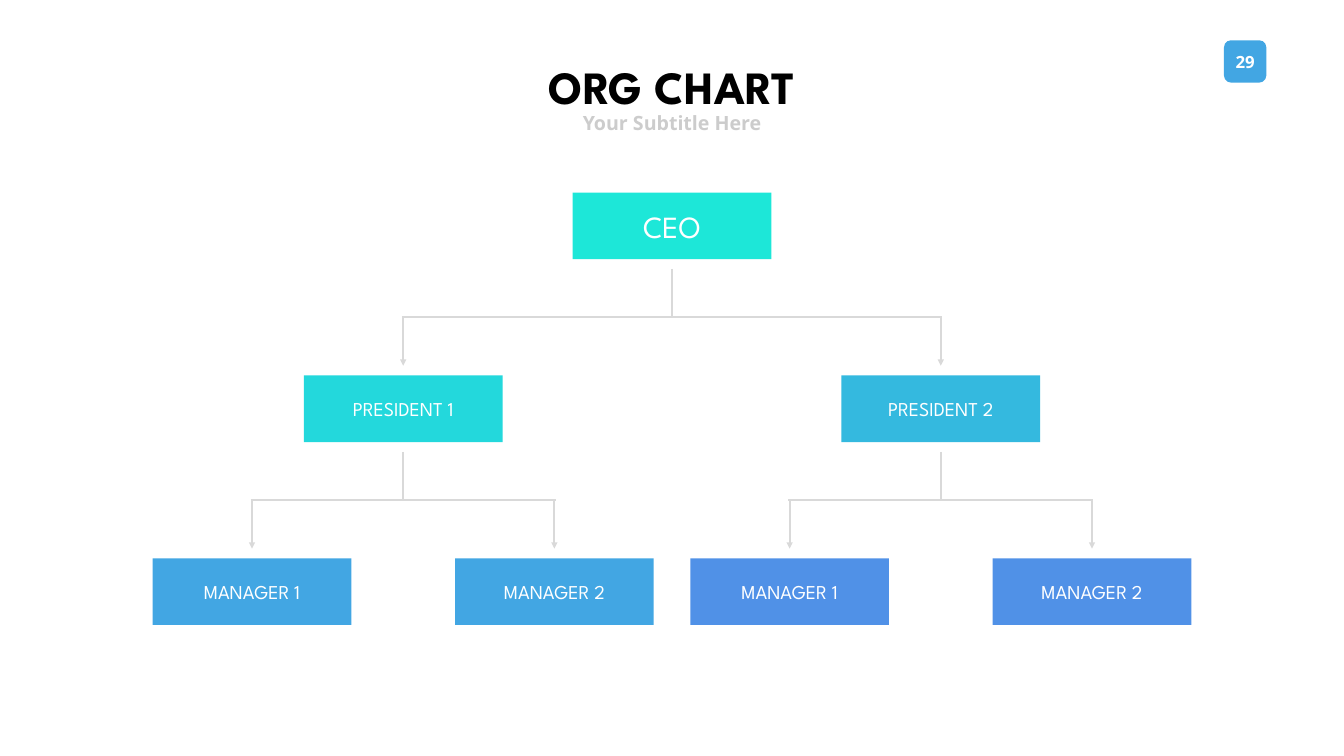
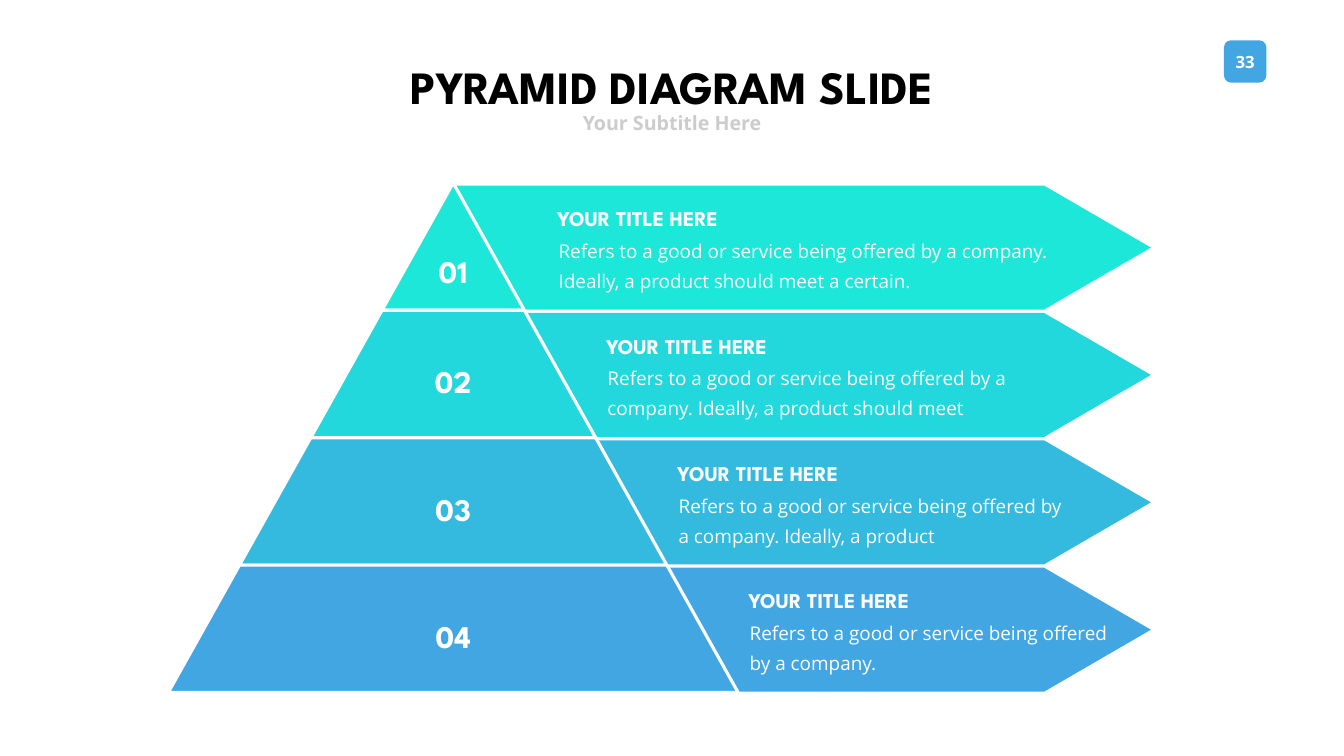
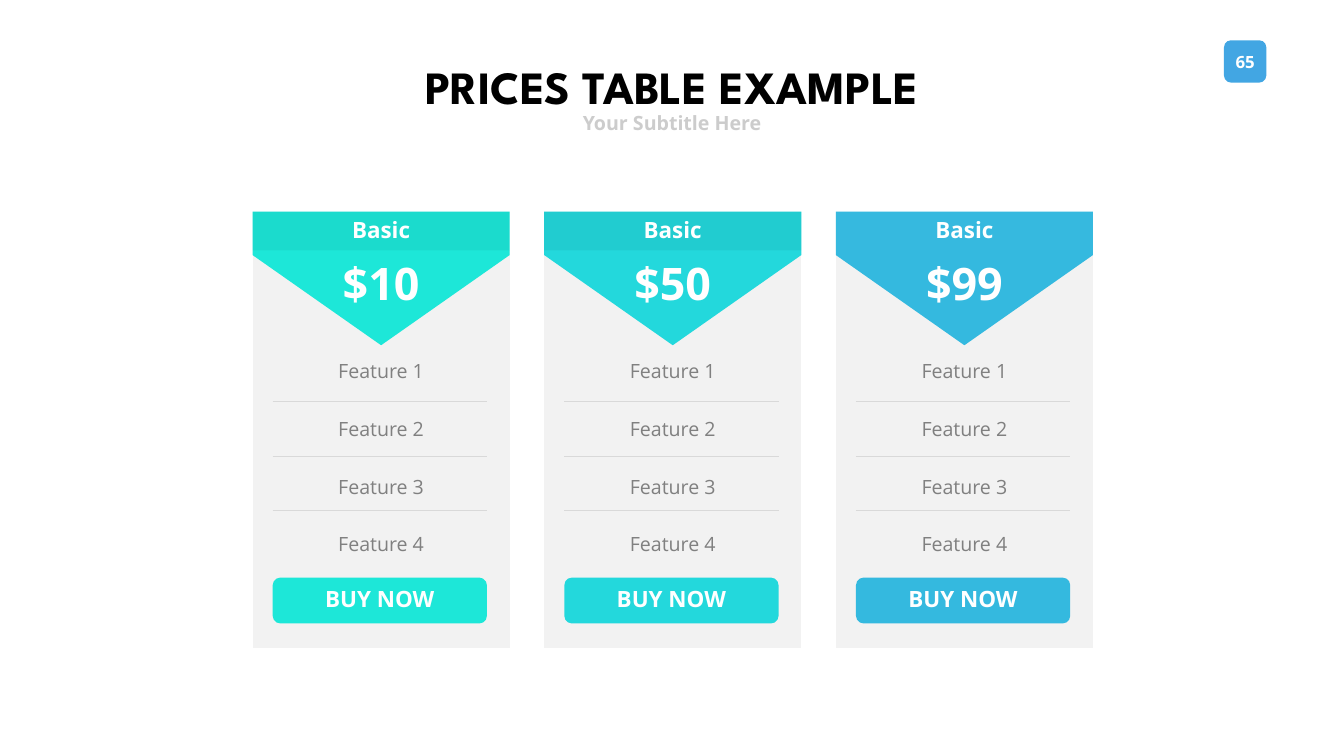
from dataclasses import dataclass

from pptx import Presentation
from pptx import util as u
from pptx.dml.color import RGBColor
from pptx.enum import shapes, text
from pptx.oxml import ns, xmlchemy

# Shared grid: 100 columns by 100 rows over the slide
WIDTH, HEIGHT = u.Inches(26.66), u.Inches(15)
COLUMN, ROW = WIDTH / 100, HEIGHT / 100

COLOURS = {
    "white": "FFFFFF", "black": "000000", "subtitle": "CCCCCC",
    "rule": "D9D9D9", "card": "F2F2F2", "feature": "808080",
    "mint": "1DE7D8", "aqua": "23D8DC", "sky": "34B9DF",
    "azure": "42A6E3", "blue": "5091E7",
    "mint band": "0C766E", "aqua band": "116C6E", "sky band": "48C0E2",
}
HEADING, BODY = "League Spartan", "Open Sans"
SHAPE, ALIGN, ANCHOR = shapes.MSO_SHAPE, text.PP_ALIGN, text.MSO_ANCHOR


@dataclass
class Box:
    """An area in columns and rows."""
    left: float
    top: float
    width: float
    height: float

    def at(self, left, top, width, height):
        return Box(self.left + left, self.top + top, width, height)

    def centred(self, top, width, height):
        return self.at((self.width - width) / 2, top, width, height)

    def emu(self):
        return (u.Emu(round(self.left * COLUMN)), u.Emu(round(self.top * ROW)),
                u.Emu(round(self.width * COLUMN)), u.Emu(round(self.height * ROW)))


def colour(name):
    return RGBColor.from_string(COLOURS[name])


# Basic parts
def add_block(page, kind, box, fill, turned=False, alpha=None):
    left, top, width, height = box.emu()
    if turned:  # a quarter turn that still fills the box
        shift = (width - height) // 2
        left, top, width, height = left + shift, top - shift, height, width
    block = page.shapes.add_shape(kind, left, top, width, height)
    block.rotation = 90 if turned else 0
    return paint(block, fill, alpha)


def paint(block, fill, alpha=None):
    block.shadow.inherit = False
    block.fill.solid()
    block.fill.fore_color.rgb = colour(fill)
    block.line.fill.background()
    if alpha is not None:
        tint = block.element.spPr.find(".//" + ns.qn("a:srgbClr"))
        opacity = xmlchemy.OxmlElement("a:alpha")
        opacity.set("val", str(alpha * 1000))
        tint.append(opacity)
    return block


def write(frame, words, size, shade="white", font=BODY, bold=False,
          align=ALIGN.CENTER, spacing=None):
    para = frame.paragraphs[0]
    para.text = words
    para.alignment = align
    if spacing:
        para.line_spacing = spacing
    para.font.size = u.Pt(size)
    para.font.name = font
    para.font.bold = bold
    para.font.color.rgb = colour(shade)


def add_label(page, box, words, size, anchor=ANCHOR.TOP, wrap=False, **style):
    frame = page.shapes.add_textbox(*box.emu()).text_frame
    frame.word_wrap = wrap
    frame.auto_size = text.MSO_AUTO_SIZE.SHAPE_TO_FIT_TEXT
    frame.vertical_anchor = anchor
    write(frame, words, size, **style)
    return frame


def add_rule(page, start, end, weight, arrow=False):
    points = [round(length * unit) for point in (start, end)
              for length, unit in zip(point, (COLUMN, ROW))]
    rule = page.shapes.add_connector(shapes.MSO_CONNECTOR.STRAIGHT, *points)
    rule.line.color.rgb = colour("rule")
    rule.line.width = u.Pt(weight)
    properties = rule.element.spPr
    if arrow:
        tip = xmlchemy.OxmlElement("a:tailEnd")
        tip.set("type", "triangle")
        properties.find(ns.qn("a:ln")).append(tip)
    properties.append(xmlchemy.OxmlElement("a:effectLst"))


# Page header: numbered badge, title and subtitle
def add_page(deck, number, title, title_width):
    page = deck.slides.add_slide(deck.slide_layouts[6])
    area = Box(0, 0, 100, 100)
    badge = area.at(91.07, 5.33, 3.15, 5.6)
    add_block(page, SHAPE.ROUNDED_RECTANGLE, badge, "azure")
    add_label(page, badge.at(0, 1.07, 3.15, 3.67), number, 24,
              ANCHOR.MIDDLE, bold=True)
    add_label(page, area.centred(5.4, title_width, 10), title, 66,
              shade="black", font=HEADING, bold=True, spacing=u.Pt(100))
    add_label(page, area.centred(14.33, 14.18, 3.8), "Your Subtitle Here", 28,
              ANCHOR.MIDDLE, shade="subtitle", bold=True)
    return page


# Org chart: each node draws the branch below it
STAFF = ("CEO", "mint", [
    ("PRESIDENT 1", "aqua", [("MANAGER 1", "azure", []), ("MANAGER 2", "azure", [])]),
    ("PRESIDENT 2", "sky", [("MANAGER 1", "blue", []), ("MANAGER 2", "blue", [])]),
])
SPREADS = [20, 11.25]  # columns from a parent to each child, by level
LEVEL_STEP, NODE_GAP, STEM = 24.2, 1.3, 6.33


def draw_node(page, box, person, level=0):
    name, fill, team = person
    node = add_block(page, SHAPE.ROUNDED_RECTANGLE, box, fill)
    node.adjustments[0] = 0
    frame = node.text_frame
    frame.margin_left = frame.margin_right = frame.margin_top = frame.margin_bottom = 0
    frame.vertical_anchor = ANCHOR.MIDDLE
    write(frame, name, 28 if level else 44, font=HEADING)
    if not team:
        return

    middle = box.left + box.width / 2
    stem_top = box.top + box.height + NODE_GAP
    bus = stem_top + STEM
    spread = SPREADS[level]
    add_rule(page, (middle, stem_top), (middle, bus), 3)
    add_rule(page, (middle - spread - 0.1, bus), (middle + spread + 0.1, bus), 3)
    for member, shift in zip(team, (-spread, spread)):
        child = box.at(shift, LEVEL_STEP, box.width, box.height)
        add_rule(page, (middle + shift, bus + 0.2),
                 (middle + shift, child.top - NODE_GAP), 3, arrow=True)
        draw_node(page, child, member, level + 1)


# Pyramid: fill, left and width of the description, wording
LAYERS = [
    ("mint", 40.66, 40.06, "Refers to a good or service being offered by a company. "
     "Ideally, a product should meet a certain."),
    ("aqua", 44.3, 37.58, "Refers to a good or service being offered by a company. "
     "Ideally, a product should meet"),
    ("sky", 49.59, 31.1, "Refers to a good or service being offered by a company. "
     "Ideally, a product"),
    ("azure", 54.88, 29.63, "Refers to a good or service being offered by a company."),
]


def draw_arrow_bar(page, box, fill):
    tip = 7.95
    add_block(page, SHAPE.RECTANGLE, box.at(0, 0, box.width - tip, box.height), fill)
    add_block(page, SHAPE.ISOSCELES_TRIANGLE,
              box.at(box.width - tip, 0, tip, box.height), fill, turned=True)


def draw_layer(page, box, index, fill):
    middle = box.left + box.width / 2
    slope = box.width / 2 / (index + 1)
    bottom = box.top + box.height
    corners = [(middle - slope * (index + 1), bottom), (middle - slope * index, box.top),
               (middle + slope * index, box.top), (middle + slope * (index + 1), bottom)]
    points = [(round(x * COLUMN), round(y * ROW)) for x, y in corners]
    outline = page.shapes.build_freeform(*points[0])
    outline.add_line_segments(points[1:], close=True)
    layer = paint(outline.convert_to_shape(), fill)
    layer.line.color.rgb = colour("white")
    layer.line.width = u.Pt(4.5)
    drop = 8.73 if index == 0 else 6.5  # the tip is narrow, so its number sits lower
    add_label(page, box.centred(drop, 4.2, 5.73), f"{index + 1:02}", 45,
              ANCHOR.MIDDLE, font=HEADING, bold=True)


def draw_pyramid(page, box):
    step = box.height / len(LAYERS)
    slope = 5.3
    apex = 21.2
    for index, (fill, *_) in enumerate(LAYERS):
        draw_arrow_bar(page, box.at(apex - 0.11, index * step + 0.35,
                                    box.width - apex + 0.11, 16.4), fill)
    for index, (fill, left, width, words) in enumerate(LAYERS):
        half = slope * (index + 1)
        layer = box.at(apex - half, index * step, half * 2, step)
        draw_layer(page, layer, index, fill)
        add_label(page, Box(left + 0.45, layer.top + 2.65, 14.82, 4.07),
                  "YOUR TITLE HERE", 30, ANCHOR.MIDDLE, font=HEADING,
                  bold=True, align=ALIGN.LEFT)
        frame = add_label(page, Box(left, layer.top + 5.7, width, 9.67), words, 27,
                          wrap=True, align=ALIGN.LEFT, spacing=u.Pt(43))
        frame.margin_left = frame.margin_right = u.Inches(0.24)
        frame.margin_top = frame.margin_bottom = u.Inches(0.12)


# Price card: banner, features and button
def draw_price_card(page, box, price, fill):
    add_block(page, SHAPE.FLOWCHART_PROCESS,
              box.at(0, 5.07, box.width, box.height - 5.07), "card")
    banner = add_block(page, SHAPE.PENTAGON, box.at(0, 0, box.width, 17.67),
                       fill, turned=True)
    banner.adjustments[0] = 0.675
    add_block(page, SHAPE.FLOWCHART_PROCESS, box.at(0, 0, box.width, 5.13),
              f"{fill} band", alpha=10)
    add_label(page, box.centred(0.6, 5.14, 3.93), "Basic", 32, bold=True, spacing=0.9)
    add_label(page, box.centred(6.33, 6.6, 7.27), price, 64, bold=True, spacing=0.9)

    inset, inner = 1.5, 15.94
    for index in range(4):
        add_label(page, box.centred(19.2 + 7.62 * index, 7.2, 3.8),
                  f"Feature {index + 1}", 28, shade="feature")
    for index in range(3):
        line = box.at(inset, 25.1 + 7.2 * index, inner, 0)
        add_rule(page, (line.left, line.top), (line.left + inner, line.top), 0.5)

    button = add_block(page, SHAPE.ROUNDED_RECTANGLE,
                       box.at(inset, 48.4, inner, 6.07), fill)
    button.text_frame.vertical_anchor = ANCHOR.MIDDLE
    write(button.text_frame, "BUY NOW", 32, bold=True, spacing=0.9)


def main():
    deck = Presentation()
    deck.slide_width, deck.slide_height = WIDTH, HEIGHT

    page = add_page(deck, "29", "ORG CHART", 22.66)
    draw_node(page, Box(42.61, 25.47, 14.78, 8.8), STAFF)

    page = add_page(deck, "33", "PYRAMID DIAGRAM SLIDE", 47.34)
    draw_pyramid(page, Box(12.52, 24.2, 73.11, 67.4))

    page = add_page(deck, "65", "PRICES TABLE EXAMPLE", 43.62)
    for index, plan in enumerate([("$10", "mint"), ("$50", "aqua"), ("$99", "sky")]):
        draw_price_card(page, Box(18.79 + 21.7 * index, 28, 19.13, 57.67), *plan)

    deck.save("out.pptx")


if __name__ == "__main__":
    main()
